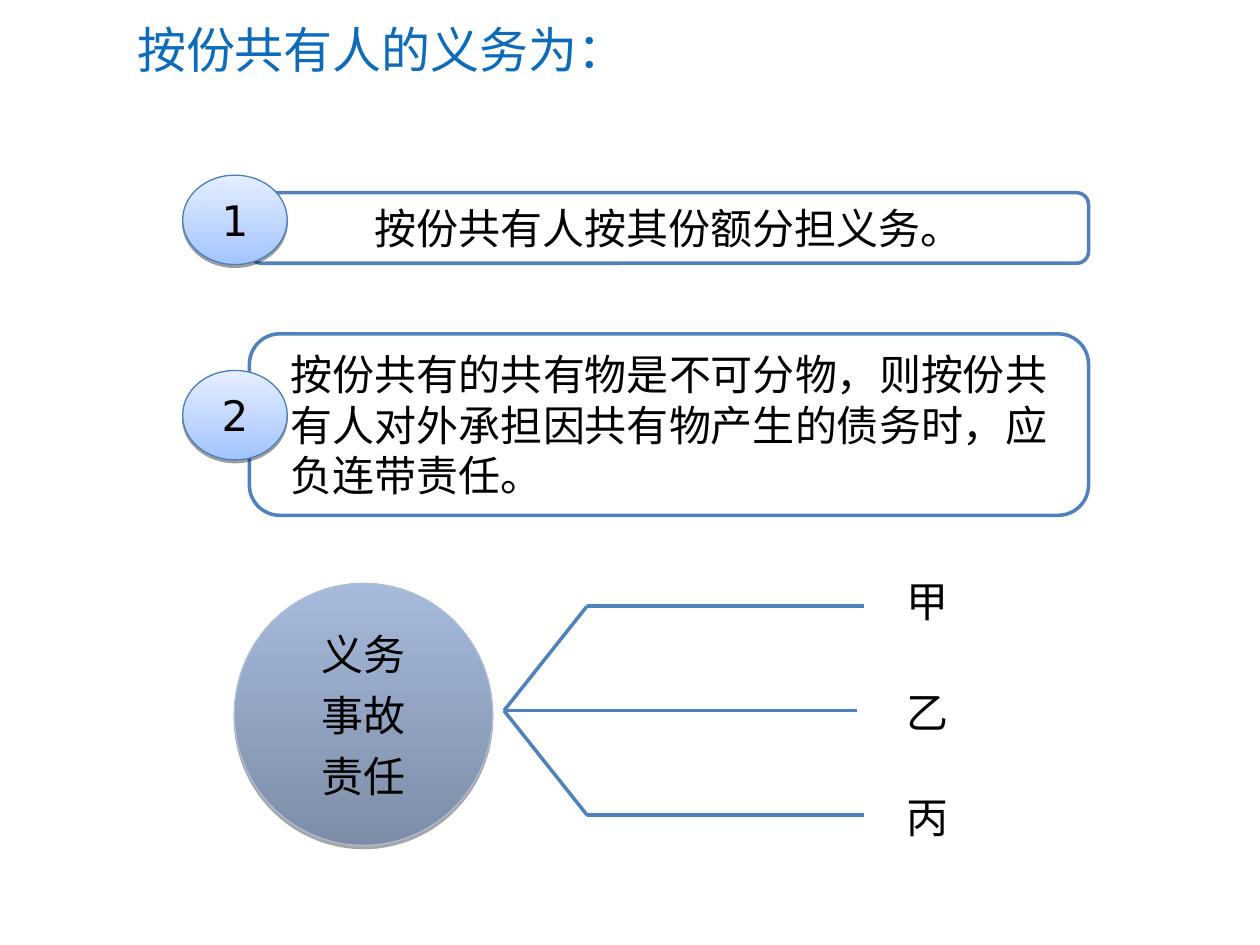
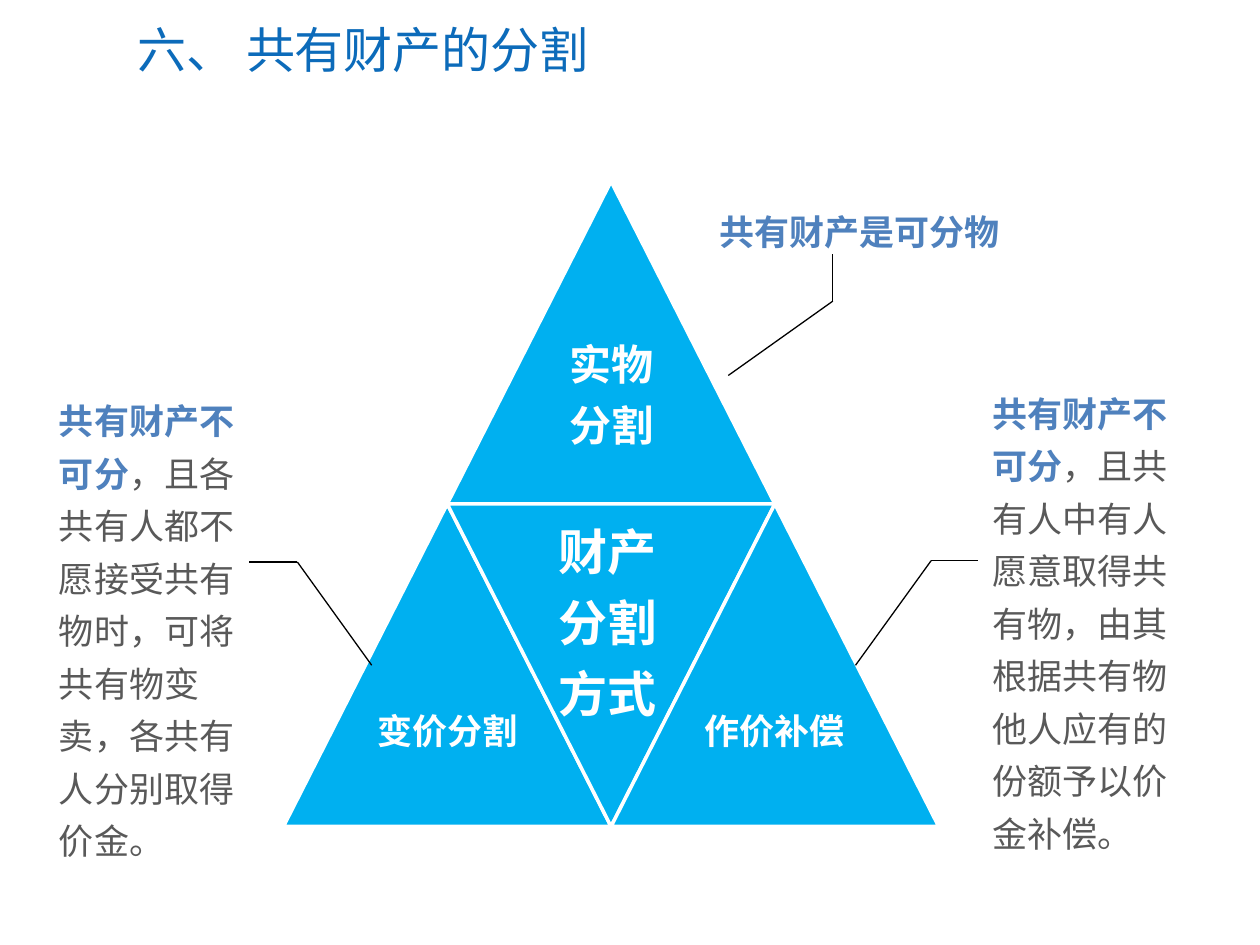
"""Build two slides on the duties of co-owners and the division of shared property."""
from lxml.etree import SubElement
from pptx import Presentation
from pptx.dml.color import RGBColor
from pptx.enum.shapes import MSO_CONNECTOR, MSO_SHAPE
from pptx.enum.text import MSO_ANCHOR, PP_ALIGN
from pptx.oxml.ns import qn
from pptx.util import Inches, Pt

COLORS = {
    "title": "0C6BBA", "blue": "4F81BD", "black": "000000", "white": "FFFFFF",
    "gray": "595959", "triangle": "00B0F0", "badge_edge": "4A7EBB",
    "badge_bottom": "A3C4FF", "badge_top": "E5EEFF", "circle_edge": "ADBCD7",
    "circle_bottom": "7E8DA7", "circle_top": "A6BADC",
}
CJK = "Noto Sans CJK SC"
TITLE = {"name": "Calibri", "size": Pt(28)}
BODY = {"name": "Calibri", "size": Pt(24)}
NUMBER = {"name": "DejaVu Sans", "size": Pt(24)}
LABEL = {"name": CJK, "size": Pt(24)}
CENTERED = {"alignment": PP_ALIGN.CENTER}
LEFT = {"alignment": PP_ALIGN.LEFT}


def write_text(shape, paragraphs, font, paragraph_format, frame_format, gap=0):
    """Fill a shape with paragraphs, each a list of (text, color, bold) runs."""
    frame = shape.text_frame
    for name, value in {"word_wrap": True, **frame_format}.items():
        setattr(frame, name, value)
    for index, runs in enumerate(paragraphs):
        paragraph = frame.add_paragraph() if index else frame.paragraphs[0]
        paragraph._p.get_or_add_pPr().set("hangingPunct", "0")
        for name, value in paragraph_format.items():
            setattr(paragraph, name, value)
        if index:
            paragraph.space_before = Pt(gap)
        for text, color, bold in runs:
            run = paragraph.add_run()
            run.text = text
            run.font.color.rgb = RGBColor.from_string(COLORS[color])
            for name, value in {**font, "bold": bold}.items():
                setattr(run.font, name, value)
            SubElement(run.font._element, qn("a:ea")).set("typeface", font["name"])


def draw_lines(slide, points, color, width):
    """Join consecutive points with straight connectors."""
    for start, end in zip(points, points[1:]):
        line = slide.shapes.add_connector(MSO_CONNECTOR.STRAIGHT, *map(Inches, start + end))
        line.line.color.rgb = RGBColor.from_string(COLORS[color])
        line.line.width = Pt(width)
        SubElement(line._element.spPr, qn("a:effectLst"))


presentation = Presentation()
presentation.slide_width, presentation.slide_height = Inches(10), Inches(7.5)
slides = []
for title in ("按份共有人的义务为：", "六、 共有财产的分割"):
    slide = presentation.slides.add_slide(presentation.slide_layouts[6])
    box = slide.shapes.add_textbox(*map(Inches, (0.99, 0.1, 8.72, 0.58)))
    write_text(box, [[(title, "title", False)]], TITLE, LEFT,
               {"vertical_anchor": MSO_ANCHOR.MIDDLE})
    slides.append(slide)
duties_slide, division_slide = slides

duties = [
    (1.53, 0.56, "按份共有人按其份额分担义务。", CENTERED, 0.1),
    (2.65, 1.44, "按份共有的共有物是不可分物，则按份共有人对外承担因共有物产生的债务时，应负连带责任。",
     LEFT, 0.26),
]
for top, height, text, alignment, margin in duties:
    duty = duties_slide.shapes.add_shape(
        MSO_SHAPE.ROUNDED_RECTANGLE, *map(Inches, (1.98, top, 6.66, height)))
    duty.adjustments[0] = 0.167
    duty.shadow.inherit = False
    duty.fill.background()
    duty.line.color.rgb = RGBColor.from_string(COLORS["blue"])
    duty.line.width = Pt(2)
    write_text(duty, [[(text, "black", False)]], BODY, alignment,
               {"margin_left": Inches(margin), "vertical_anchor": MSO_ANCHOR.MIDDLE})

ellipses = [
    ((1.45, 1.39, 0.83, 0.71), "badge", ["1"], NUMBER, 38, 1.6),
    ((1.45, 2.94, 0.83, 0.71), "badge", ["2"], NUMBER, 38, 1.6),
    ((1.86, 4.63, 2.05, 2.08), "circle", ["义务", "事故", "责任"], LABEL, 35, 1.8),
]
for place, kind, texts, font, opacity, distance in ellipses:
    ellipse = duties_slide.shapes.add_shape(MSO_SHAPE.OVAL, *map(Inches, place))
    ellipse.fill.gradient()
    ellipse.fill.gradient_angle = 90
    for stop, end in zip(ellipse.fill.gradient_stops, ("bottom", "top")):
        stop.color.rgb = RGBColor.from_string(COLORS[f"{kind}_{end}"])
    ellipse.line.color.rgb = RGBColor.from_string(COLORS[f"{kind}_edge"])
    ellipse.line.width = Pt(0.75)
    ellipse.shadow.inherit = False
    effects = ellipse._element.spPr.find(qn("a:effectLst"))
    shadow = SubElement(effects, qn("a:outerShdw"), blurRad="0", dist=str(Pt(distance)),
                        dir="5400000", rotWithShape="0")
    shadow_color = SubElement(shadow, qn("a:srgbClr"), val=COLORS["black"])
    SubElement(shadow_color, qn("a:alpha"), val=str(opacity * 1000))
    write_text(ellipse, [[(text, "black", False)] for text in texts], font, CENTERED,
               {"vertical_anchor": MSO_ANCHOR.MIDDLE}, 6)

hub = (4, 5.64)
for branch in ([hub, (4.66, 4.81), (6.86, 4.81)],
               [hub, (4.66, 6.47), (6.86, 6.47)],
               [hub, (6.8, 5.64)]):
    draw_lines(duties_slide, branch, "blue", 2)
for owner, top in (("甲", 4.52), ("乙", 5.4), ("丙", 6.23)):
    box = duties_slide.shapes.add_textbox(*map(Inches, (7, top, 0.72, 0.5)))
    write_text(box, [[(owner, "black", False)]], LABEL, CENTERED, {})

left, top, half_width, height = 2.25, 1.44, 1.3, 2.56
triangles = [
    [(1, 1), (2, 0), (3, 1)],
    [(0, 2), (1, 1), (2, 2)],
    [(3, 1), (2, 2), (1, 1)],
    [(2, 2), (3, 1), (4, 2)],
]
for corners in triangles:
    points = [(Inches(left + column * half_width), Inches(top + row * height))
              for column, row in corners]
    builder = division_slide.shapes.build_freeform(*points[0])
    builder.add_line_segments(points[1:], close=True)
    triangle = builder.convert_to_shape()
    triangle.shadow.inherit = False
    triangle.fill.solid()
    triangle.fill.fore_color.rgb = RGBColor.from_string(COLORS["triangle"])
    triangle.line.color.rgb = RGBColor.from_string(COLORS["white"])
    triangle.line.width = Pt(2)

methods = [
    ((4.3, 2.64, 1.1, 0.99), ["实物", "分割"], 24, 6),
    ((4.27, 4.09, 1.1, 1.7), ["财产", "分割", "方式"], 28, 7),
    ((2.8, 5.58, 1.5, 0.44), ["变价分割"], 20, 0),
    ((5.4, 5.58, 1.5, 0.44), ["作价补偿"], 20, 0),
]
for place, texts, size, gap in methods:
    box = division_slide.shapes.add_textbox(*map(Inches, place))
    write_text(box, [[(text, "white", True)] for text in texts],
               {"name": CJK, "size": Pt(size)}, CENTERED, {}, gap)

for leader in ([(5.78, 2.98), (6.61, 2.39), (6.61, 2.02)],
               [(2.95, 5.28), (2.36, 4.46), (1.98, 4.46)],
               [(6.79, 5.28), (7.39, 4.45), (7.76, 4.45)]):
    draw_lines(division_slide, leader, "black", 0.75)

conditions = [
    ((5.61, 1.52, 3, 0.54), 1.3, "共有财产是可分物", ""),
    ((0.37, 3.04, 1.8, 3.44), Pt(30), "共有财产不可分",
     "，且各共有人都不愿接受共有物时，可将共有物变卖，各共有人分别取得价金。"),
    ((7.78, 2.98, 1.76, 3.85), Pt(30), "共有财产不可分",
     "，且共有人中有人愿意取得共有物，由其根据共有物他人应有的份额予以价金补偿。"),
]
for place, spacing, condition, detail in conditions:
    box = division_slide.shapes.add_textbox(*map(Inches, place))
    runs = [(condition, "blue", True)]
    if detail:
        runs.append((detail, "gray", False))
    write_text(box, [runs], {"name": CJK, "size": Pt(20)},
               {**LEFT, "line_spacing": spacing}, {})

presentation.save("out.pptx")
